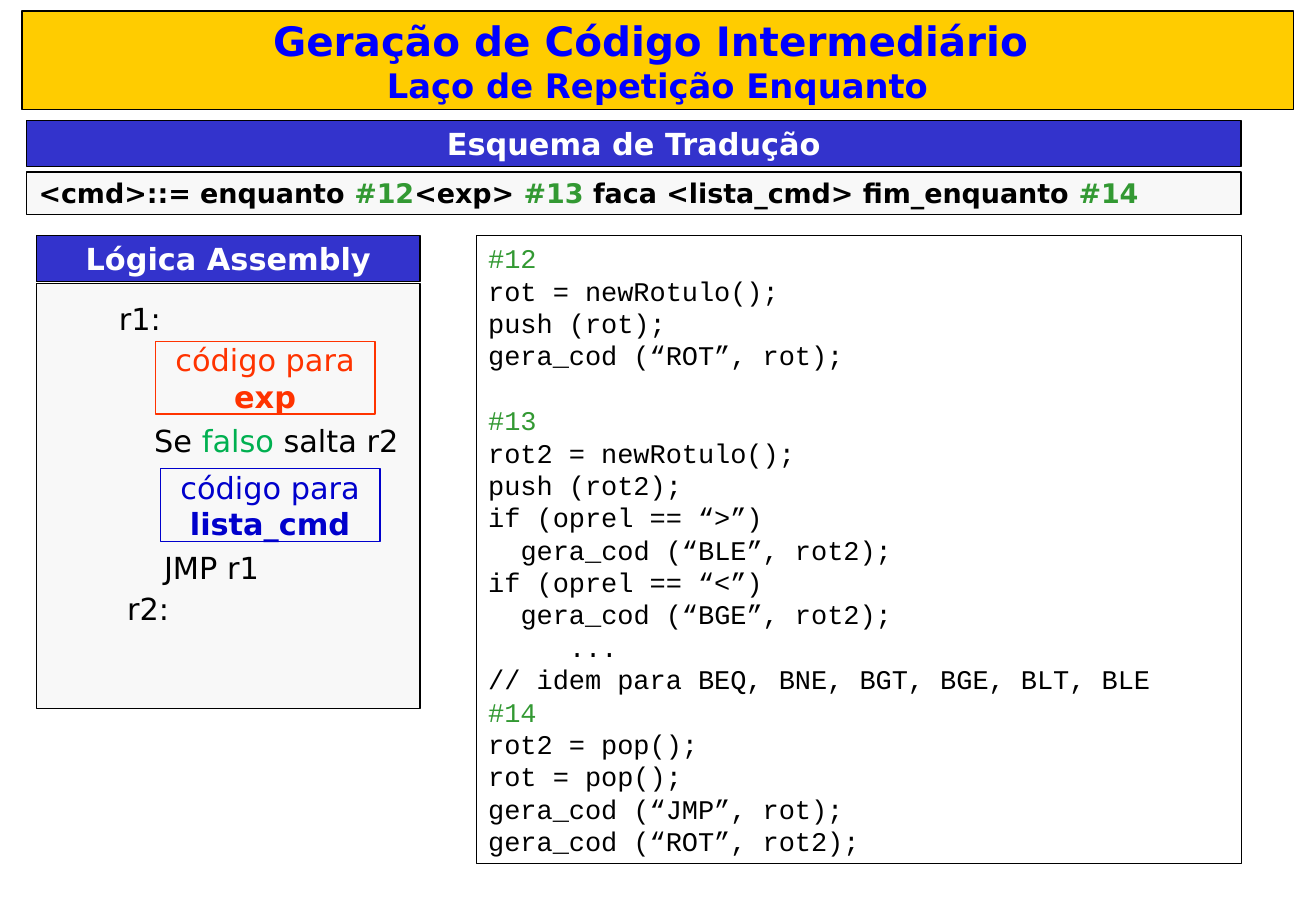
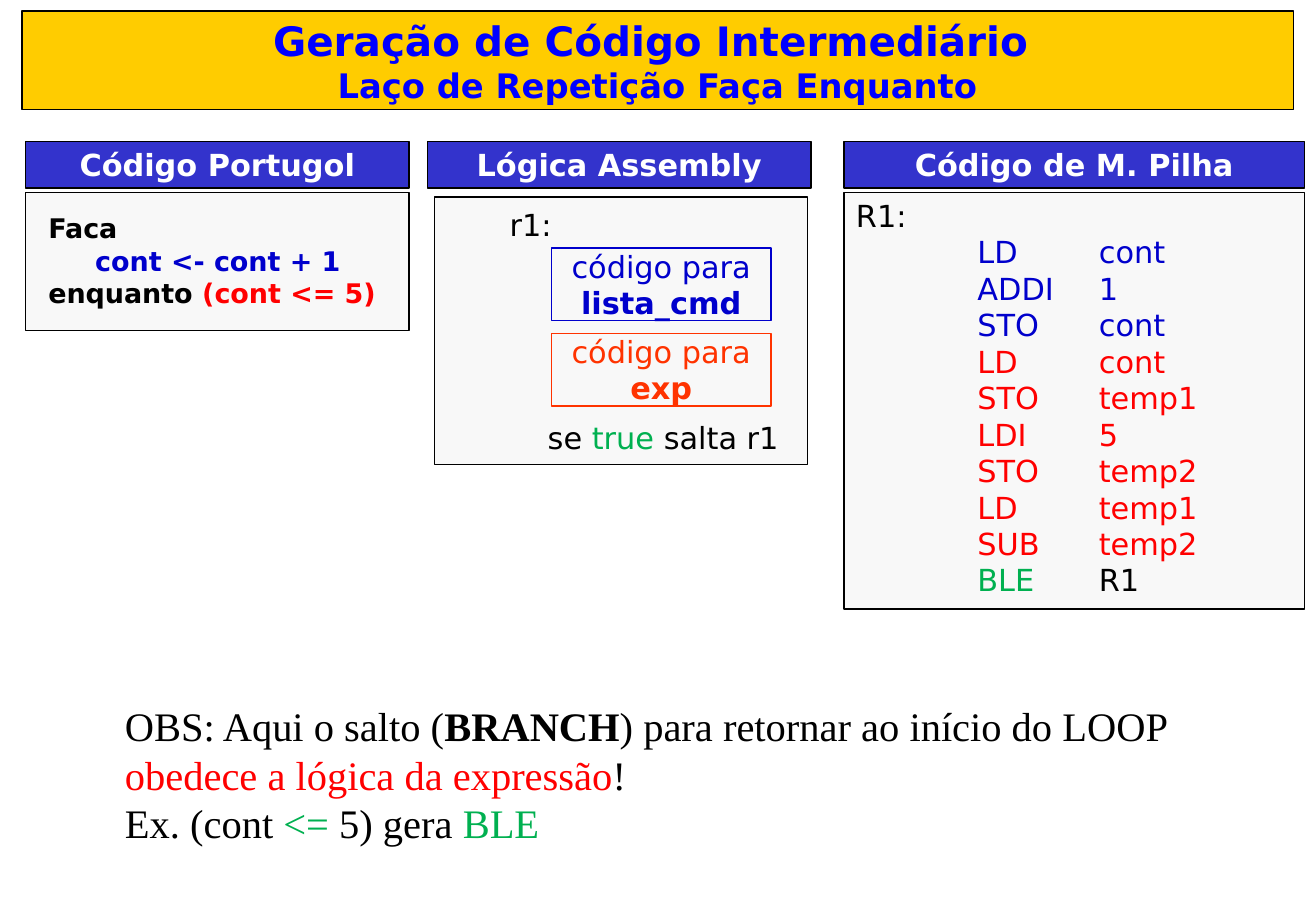
from pptx import Presentation
from pptx.dml.color import RGBColor as RGB
from pptx.enum.shapes import MSO_SHAPE as SHAPE
from pptx.enum.text import MSO_ANCHOR as ANCHOR, PP_ALIGN as ALIGN
from pptx.util import Pt
from lxml import etree

C = {
    "black": "000000", "white": "FFFFFF", "gold": "FFCC00", "title": "0000FF",
    "bar": "3333CC", "panel": "F8F8F8", "action": "339933", "orange": "FF3300",
    "blue": "0000CC", "red": "FF0000", "green": "00B050",
}
SANS, MONO, SERIF = "DejaVu Sans", "Courier New", "Times New Roman"
STYLES = {
    "title": {"name": SANS, "size": 24, "bold": True, "color": "title"},
    "bar": {"name": SANS, "size": 18, "bold": True, "color": "white"},
    "rule": {"name": SANS, "size": 16, "bold": True, "color": "black"},
    "body": {"name": SANS, "size": 18, "bold": False, "color": "black"},
    "code": {"name": MONO, "size": 16, "bold": False, "color": "black"},
    "note": {"name": SERIF, "size": 24, "bold": False, "color": "black"},
}
LEADING = 1.2


def box(s, at, fill=None, line=None):
    x, y, w, h = [Pt(v) for v in at]
    if not (fill or line):
        return s.shapes.add_textbox(x, y, w, h)
    sp = s.shapes.add_shape(SHAPE.RECTANGLE, x, y, w, h)
    sp.shadow.inherit = False
    if fill:
        sp.fill.solid()
        sp.fill.fore_color.rgb = RGB.from_string(C[fill])
    else:
        sp.fill.background()
    sp.line.color.rgb = RGB.from_string(C[line])
    sp.line.width = Pt(0.75)
    return sp


def write(sp, style, paras, inset=(7.2, 2.88), align=ALIGN.LEFT):
    tf = sp.text_frame
    frame = {"word_wrap": True, "vertical_anchor": ANCHOR.TOP,
             "margin_left": Pt(inset[0]), "margin_right": Pt(inset[0]),
             "margin_top": Pt(inset[1]), "margin_bottom": Pt(inset[1])}
    for key, value in frame.items():
        setattr(tf, key, value)
    for i, runs in enumerate(paras):
        p = tf.add_paragraph() if i else tf.paragraphs[0]
        p.alignment = align
        for text, changes in runs:
            fmt = {**STYLES[style], **changes}
            p.line_spacing = Pt(LEADING * fmt["size"])
            r = p.add_run()
            r.text = text
            r.font.color.rgb = RGB.from_string(C[fmt.pop("color")])
            fmt["size"] = Pt(fmt["size"])
            for key, value in fmt.items():
                setattr(r.font, key, value)
    return tf


BOLD = {"bold": True}
ACTION, BLUE, RED, GREEN = [
    {"color": c} for c in ("action", "blue", "red", "green")]
TIGHT = (1.44, 0)

prs = Presentation()
prs.slide_width, prs.slide_height = Pt(780.25), Pt(540)

pages = [
    {
        "subtitle": "Laço de Repetição Enquanto",
        "panels": [(21.6, 168, 227.5, 252)],
        "bars": [("Lógica Assembly", 21.6, 139.7, 227.5),
                 ("Esquema de Tradução", 15.8, 71.3, 720)],
        "blocks": [("exp", "orange", 92, 202.3), ("lista_cmd", "blue", 95, 277.9)],
        "labels": [
            (69, 178, [("r1:", {})]),
            (90, 250, [("Se ", {}), ("falso ", GREEN), ("salta r2", {})]),
            (95.8, 325.6, [("JMP r1", {})]),
            (73.9, 350, [("r2:", {})]),
        ],
    },
    {
        "subtitle": "Laço de Repetição Faça Enquanto",
        "panels": [(15.1, 114, 227.5, 82.1), (500.4, 114, 272.9, 247),
                   (257.8, 116.8, 221, 158.4)],
        "bars": [("Código Portugol", 15.1, 84, 227.5),
                 ("Lógica Assembly", 253.4, 84, 227.5),
                 ("Código de M. Pilha", 500.4, 84, 272.9)],
        "blocks": [("exp", "orange", 326.9, 197.5), ("lista_cmd", "blue", 326.9, 147)],
        "labels": [
            (300.7, 122.4, [("r1:", {})]),
            (323.3, 248.6, [("se ", {}), ("true ", GREEN), ("salta r1", {})]),
        ],
    },
]

slides = []
for page in pages:
    s = prs.slides.add_slide(prs.slide_layouts[6])
    slides.append(s)
    write(box(s, (13, 6.6, 753.8, 58.5), "gold", "black"), "title",
          [[("Geração de Código Intermediário ", {})], [(page["subtitle"], {"size": 20})]],
          align=ALIGN.CENTER)
    for at in page["panels"]:
        box(s, at, "panel", "black")
    for text, x, y, w in page["bars"]:
        write(box(s, (x, y, w, 27.4), "bar", "black"), "bar", [[(text, {})]],
              align=ALIGN.CENTER)
    for name, color, x, y in page["blocks"]:
        tint = {"color": color}
        write(box(s, (x, y, 130.3, 43.2), line=color), "body",
              [[("código para ", tint), (name, {**tint, **BOLD})]], TIGHT, ALIGN.CENTER)
    for x, y, runs in page["labels"]:
        write(box(s, (x, y, 169.2, 21.6)), "body", [runs], TIGHT)

loop, do_loop = slides

write(box(loop, (15.8, 102, 720, 25.2), "panel", "black"), "rule", [[
    ("<cmd>::= enquanto ", {}), ("#12", ACTION), ("<exp> ", {}), ("#13", ACTION),
    (" faca <lista_cmd> fim_enquanto ", {}), ("#14", ACTION)]])

code = [
    (0, "#12"),
    (0, "rot = newRotulo();"),
    (0, "push (rot);"),
    (0, "gera_cod (“ROT”, rot);"),
    (0, "#13"),
    (0, "rot2 = newRotulo();"),
    (0, "push (rot2);"),
    (0, "if (oprel == “>”)"),
    (2, "gera_cod (“BLE”, rot2);"),
    (0, "if (oprel == “<”)"),
    (2, "gera_cod (“BGE”, rot2);"),
    (5, "..."),
    (0, "// idem para BEQ, BNE, BGT, BGE, BLT, BLE"),
    (0, "#14"),
    (0, "rot2 = pop();"),
    (0, "rot = pop();"),
    (0, "gera_cod (“JMP”, rot);"),
    (0, "gera_cod (“ROT”, rot2);"),
]
tf = write(box(loop, (282.4, 139.8, 453.6, 372.2), line="black"), "code",
           [[(text, ACTION if text.startswith("#") else {})] for _, text in code],
           (7.2, 3.6))
for p, (chars, text) in zip(tf.paragraphs, code):
    p._p.get_or_add_pPr().set("marL", str(Pt(9.6 * chars)))
    if text == "#13":
        p.space_before = Pt(LEADING * 16)

program = [
    ("LD", "cont", BLUE), ("ADDI", "1", BLUE), ("STO", "cont", BLUE),
    ("LD", "cont", RED), ("STO", "temp1", RED), ("LDI", "5", RED),
    ("STO", "temp2", RED), ("LD", "temp1", RED), ("SUB", "temp2", RED),
]
paras = [[("R1:", {})]]
paras += [[(f"\t{op}\t{arg}", tint)] for op, arg, tint in program]
paras += [[("\tBLE\t", GREEN), ("R1", {})]]
tf = write(box(do_loop, (500.4, 114, 272.9, 243.4)), "body", paras)
for p in tf.paragraphs:
    pPr = p._p.get_or_add_pPr()
    ns = "{" + pPr.nsmap["a"] + "}"
    tabs = etree.SubElement(pPr, ns + "tabLst")
    for inch in (1, 2):
        etree.SubElement(tabs, ns + "tab", pos=str(Pt(72 * inch)), algn="l")

tf = write(box(do_loop, (21.6, 122.6, 221, 63.4)), "rule", [
    [("Faca", {})],
    [("cont <- cont + 1", BLUE)],
    [("enquanto ", {}), ("(cont <= 5)", RED)]])
tf.paragraphs[1]._p.get_or_add_pPr().set("marL", str(Pt(27.8)))

write(box(do_loop, (67, 412, 679.7, 93.6)), "note", [
    [("OBS: Aqui o salto (", {}), ("BRANCH", BOLD),
     (") para retornar ao início do LOOP ", {}),
     ("obedece a lógica da expressão", RED), ("!", {})],
    [("Ex. (cont ", {}), ("<=", GREEN), (" 5) gera ", {}), ("BLE", GREEN)]],
    (7.2, 3.6))

prs.save("out.pptx")
